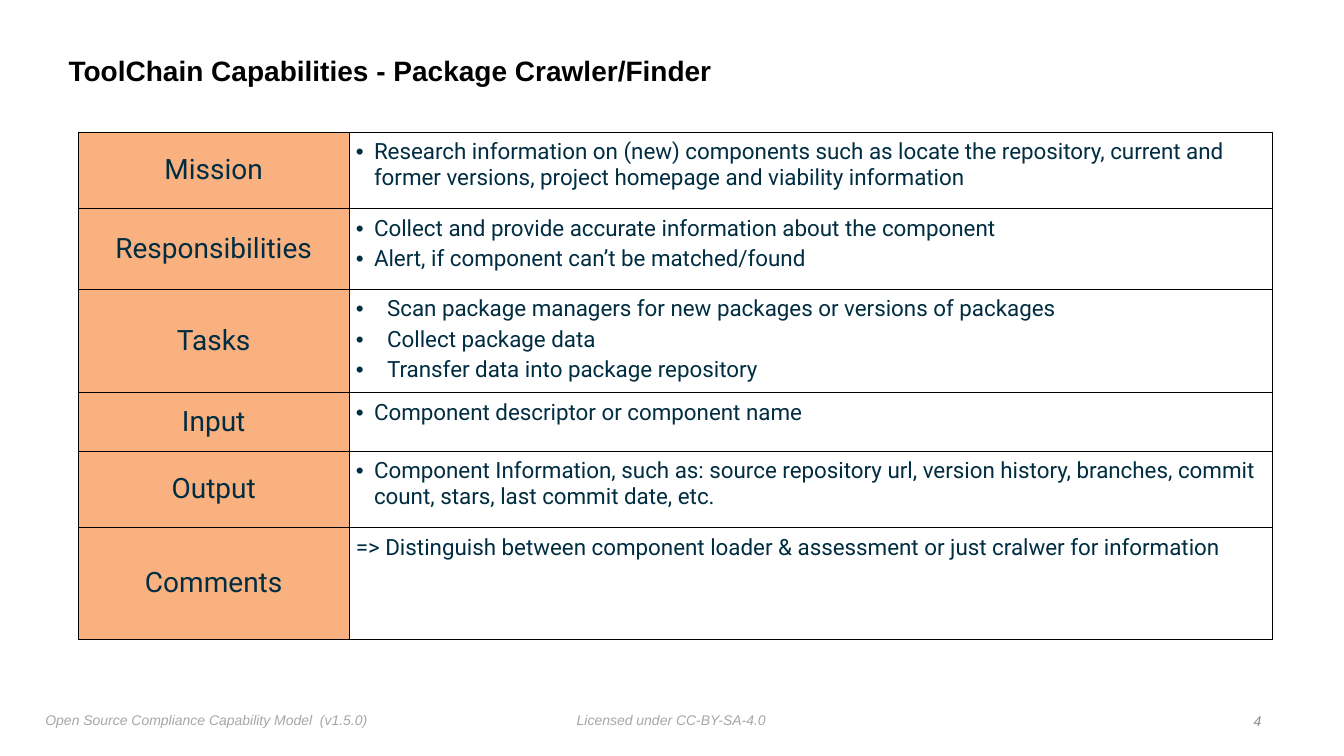
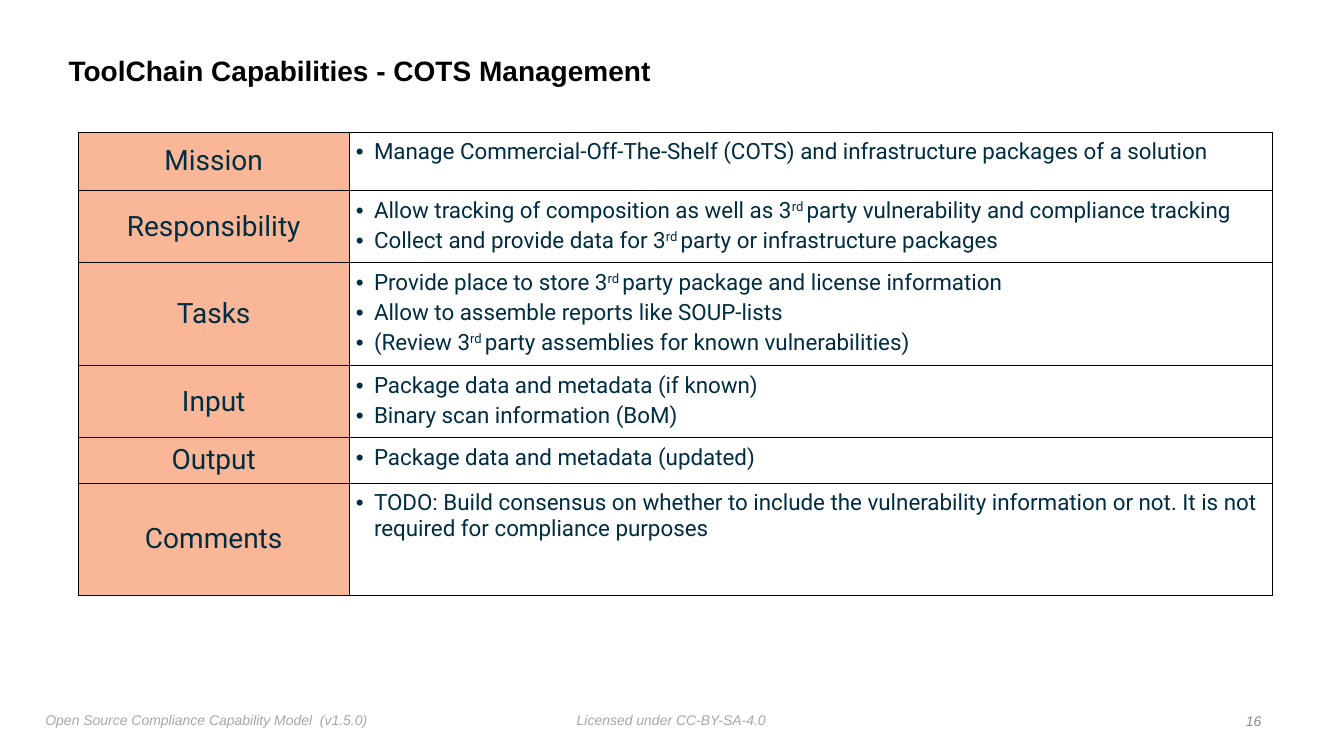
"""Two toolchain capability slides, each with a titled table and a shared footer."""
from lxml import etree
from pptx import Presentation
from pptx.dml.color import RGBColor
from pptx.enum.text import MSO_ANCHOR, PP_ALIGN
from pptx.oxml.ns import qn
from pptx.util import Inches, Pt

LEFT, CENTER, RIGHT = PP_ALIGN.LEFT, PP_ALIGN.CENTER, PP_ALIGN.RIGHT
TOP, MIDDLE = MSO_ANCHOR.TOP, MSO_ANCHOR.MIDDLE

BLACK = RGBColor(0x00, 0x00, 0x00)
NAVY = RGBColor(0x00, 0x2D, 0x41)
ORANGE = RGBColor(0xF6, 0x65, 0x03)
PEACH = RGBColor(0xFA, 0xB7, 0x98)
FOOTER_GREY = RGBColor(0xA7, 0xA7, 0xA7)
NUMBER_GREY = RGBColor(0x88, 0x8C, 0x91)

TITLE_FONT = dict(name="Arial", size=Pt(20), bold=True, color=BLACK)
FOOTER_FONT = dict(name="Arial", size=Pt(10), italic=True, color=FOOTER_GREY)
NUMBER_FONT = dict(FOOTER_FONT, color=NUMBER_GREY)
LABEL_FONT = dict(name="Roboto", size=Pt(20), color=NAVY)
DETAIL_FONT = dict(LABEL_FONT, size=Pt(16))

TITLE_BOX = (0.63, 0.39, 10.75, 0.65)
NUMBER_BOX = (12.06, 7.03, 0.5, 0.25)
FOOTERS = [
    ("Licensed under CC-BY-SA-4.0", (5.67, 7.01, 1.99, 0.25)),
    ("Open Source Compliance Capability Model  (v1.5.0)", (0.4, 7.01, 3.32, 0.27)),
]
TABLE_LEFT, TABLE_TOP = 0.78, 1.31
COLUMNS = (2.68, 9.16)
BULLET_INDENT, WIDE_INDENT, PLAIN_INDENT = 0.18, 0.31, 0.07
SUPERSCRIPT_MARK = "^"

SLIDES = [
    dict(
        title="ToolChain Capabilities - Package Crawler/Finder",
        number="4", label_fill=ORANGE, label_alpha=50,
        rows=[
            ("Mission", 0.76, BULLET_INDENT, [
                "Research information on (new) components such as locate the repository, "
                "current and former versions, project homepage and viability information"]),
            ("Responsibilities", 0.8, BULLET_INDENT, [
                "Collect and provide accurate information about the component",
                "Alert, if component can’t be matched/found"]),
            ("Tasks", 1.0, WIDE_INDENT, [
                "Scan package managers for new packages or versions of packages",
                "Collect package data",
                "Transfer data into package repository"]),
            ("Input", 0.58, BULLET_INDENT, ["Component descriptor or component name"]),
            ("Output", 0.76, BULLET_INDENT, [
                "Component Information, such as: source repository url, version history, "
                "branches, commit count, stars, last commit date, etc."]),
            ("Comments", 1.11, PLAIN_INDENT, [
                "=> Distinguish between component loader & assessment or just cralwer "
                "for information"]),
        ]),
    dict(
        title="ToolChain Capabilities - COTS Management",
        number="16", label_fill=PEACH, label_alpha=100,
        rows=[
            ("Mission", 0.58, BULLET_INDENT, [
                "Manage Commercial-Off-The-Shelf (COTS) and infrastructure packages "
                "of a solution"]),
            ("Responsibility", 0.7, BULLET_INDENT, [
                "Allow tracking of composition as well as 3^rd ^party vulnerability "
                "and compliance tracking",
                "Collect and provide data for 3^rd ^party or infrastructure packages"]),
            ("Tasks", 1.0, BULLET_INDENT, [
                "Provide place to store 3^rd ^party package and license information",
                "Allow to assemble reports like SOUP-lists",
                "(Review 3^rd ^party assemblies for known vulnerabilities)"]),
            ("Input", 0.7, BULLET_INDENT, [
                "Package data and metadata (if known)",
                "Binary scan information (BoM)"]),
            ("Output", 0.45, BULLET_INDENT, ["Package data and metadata (updated)"]),
            ("Comments", 1.11, BULLET_INDENT, [
                "TODO: Build consensus on whether to include the vulnerability information "
                "or not. It is not required for compliance purposes"]),
        ]),
]


def add_runs(paragraph, text, font):
    for index, part in enumerate(text.split(SUPERSCRIPT_MARK)):
        run = paragraph.add_run()
        run.text = part
        for key, value in font.items():
            if key == "color":
                run.font.color.rgb = value
            else:
                setattr(run.font, key, value)
        if index % 2:
            run.font._element.set("baseline", "30000")


def add_text(slide, text, box, font, align=LEFT, anchor=TOP, wrap=False, spacing=None):
    frame = slide.shapes.add_textbox(*map(Inches, box)).text_frame
    set_margins(frame, 0.05)
    frame.word_wrap, frame.vertical_anchor = wrap, anchor
    paragraph = frame.paragraphs[0]
    paragraph.alignment, paragraph.line_spacing = align, spacing
    add_runs(paragraph, text, font)


def set_margins(target, inches):
    for side in ("left", "top", "right", "bottom"):
        setattr(target, f"margin_{side}", Inches(inches))


def set_borders(cell):
    properties = cell._tc.get_or_add_tcPr()
    for position, side in enumerate(("lnL", "lnR", "lnT", "lnB")):
        line = etree.Element(qn(f"a:{side}"), w=str(Pt(0.5)))
        fill = etree.SubElement(line, qn("a:solidFill"))
        etree.SubElement(fill, qn("a:srgbClr"), val=str(BLACK))
        properties.insert(position, line)


def fill_label(cell, label, color, alpha):
    set_margins(cell, 0)
    cell.vertical_anchor = MIDDLE
    cell.fill.solid()
    cell.fill.fore_color.rgb = color
    if alpha < 100:
        shade = cell._tc.tcPr.find(f".//{qn('a:srgbClr')}")
        etree.SubElement(shade, qn("a:alpha"), val=str(alpha * 1000))
    paragraph = cell.text_frame.paragraphs[0]
    paragraph.alignment = CENTER
    add_runs(paragraph, label, LABEL_FONT)


def fill_details(cell, details, indent):
    set_margins(cell, 0.07)
    cell.fill.background()
    frame = cell.text_frame
    for index, detail in enumerate(details):
        paragraph = frame.add_paragraph() if index else frame.paragraphs[0]
        properties = paragraph._p.get_or_add_pPr()
        properties.set("marL", str(Inches(indent)))
        properties.set("indent", str(-Inches(indent)))
        if indent != PLAIN_INDENT:
            etree.SubElement(properties, qn("a:buFont"), typeface="Arial")
            etree.SubElement(properties, qn("a:buChar"), char="•")
        if index:
            paragraph.space_before = Pt(3)
        add_runs(paragraph, detail, DETAIL_FONT)


def add_capability_table(slide, rows, label_fill, label_alpha):
    size = sum(COLUMNS), sum(height for _, height, _, _ in rows)
    table = slide.shapes.add_table(
        len(rows), len(COLUMNS), *map(Inches, (TABLE_LEFT, TABLE_TOP, *size))).table
    table.first_row = table.horz_banding = False
    for column, width in zip(table.columns, COLUMNS):
        column.width = Inches(width)
    for row, (label, height, indent, details) in zip(table.rows, rows):
        row.height = Inches(height)
        label_cell, detail_cell = row.cells
        fill_label(label_cell, label, label_fill, label_alpha)
        fill_details(detail_cell, details, indent)
        for cell in (label_cell, detail_cell):
            set_borders(cell)


def add_capability_slide(deck, content):
    slide = deck.slides.add_slide(deck.slide_layouts[6])
    for text, box in FOOTERS:
        add_text(slide, text, box, FOOTER_FONT)
    add_text(slide, content["title"], TITLE_BOX, TITLE_FONT,
             anchor=MIDDLE, wrap=True, spacing=0.9)
    add_capability_table(slide, content["rows"], content["label_fill"], content["label_alpha"])
    add_text(slide, content["number"], NUMBER_BOX, NUMBER_FONT,
             align=RIGHT, anchor=MIDDLE, wrap=True)


def main():
    deck = Presentation()
    deck.slide_width, deck.slide_height = Inches(13.33), Inches(7.5)
    for content in SLIDES:
        add_capability_slide(deck, content)
    deck.save("out.pptx")


if __name__ == "__main__":
    main()
